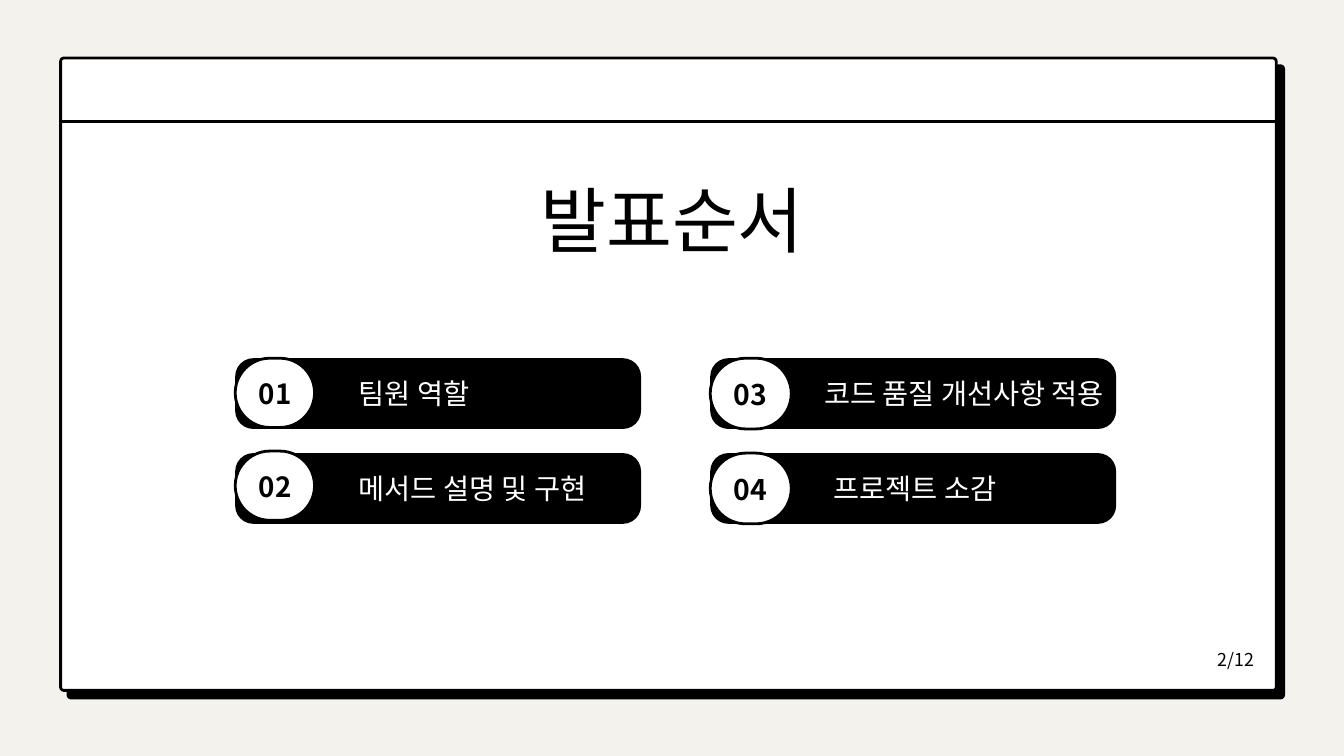
import pptx
import pptx.dml.color
import pptx.enum.shapes
import pptx.enum.text
import pptx.oxml.ns
import pptx.util
from lxml import etree

Pt = pptx.util.Pt
ALIGN = pptx.enum.text.PP_ALIGN
SHAPE = pptx.enum.shapes.MSO_SHAPE


def color(hex_value):
    return pptx.dml.color.RGBColor.from_string(hex_value)


class SlideBuilder:
    """Holds the style and the current slide; all lengths are in points."""

    FONT = "Noto Sans CJK KR"
    BLACK, WHITE, PAPER = "000000", "FFFFFF", "F4F2EC"
    LINE_WIDTH = 3

    def __init__(self, slide):
        self.slide = slide
        slide.background.fill.solid()
        slide.background.fill.fore_color.rgb = color(self.PAPER)

    def rounded(self, left, top, width, height, radius, fill, outlined=True):
        shape = self.slide.shapes.add_shape(
            SHAPE.ROUNDED_RECTANGLE, Pt(left), Pt(top), Pt(width), Pt(height))
        shape.adjustments[0] = radius / min(width, height)
        shape.shadow.inherit = False
        shape.fill.solid()
        shape.fill.fore_color.rgb = color(fill)
        if outlined:
            shape.line.color.rgb = color(self.BLACK)
            shape.line.width = Pt(self.LINE_WIDTH)
        else:
            shape.line.fill.background()

    def line(self, x1, y1, x2, y2):
        connector = self.slide.shapes.add_connector(
            pptx.enum.shapes.MSO_CONNECTOR.STRAIGHT, Pt(x1), Pt(y1), Pt(x2), Pt(y2))
        connector.line.color.rgb = color(self.BLACK)
        connector.line.width = Pt(self.LINE_WIDTH)
        properties = connector.element.find(pptx.oxml.ns.qn("p:spPr"))
        etree.SubElement(properties, pptx.oxml.ns.qn("a:effectLst"))

    def text(self, text, left, top, width, height, size, spacing,
             fill=BLACK, align=ALIGN.LEFT, bold=False):
        shape = self.slide.shapes.add_textbox(
            Pt(left), Pt(top), Pt(width), Pt(height))
        self.set_text(shape, text, size, spacing, fill, align, bold)

    def title(self, text, left, top, width, height, size, spacing):
        shape = self.slide.shapes.title
        position = {"left": left, "top": top, "width": width, "height": height}
        for name, value in position.items():
            setattr(shape, name, Pt(value))
        # Bring the title in front of the window
        shape.element.getparent().append(shape.element)
        self.set_text(shape, text, size, spacing, self.BLACK, ALIGN.CENTER, False)

    def set_text(self, shape, text, size, spacing, fill, align, bold):
        frame = shape.text_frame
        frame_format = {
            "margin_left": 0, "margin_top": 0, "margin_right": 0, "margin_bottom": 0,
            "word_wrap": True,
            "auto_size": pptx.enum.text.MSO_AUTO_SIZE.NONE,
            "vertical_anchor": pptx.enum.text.MSO_ANCHOR.TOP,
        }
        for name, value in frame_format.items():
            setattr(frame, name, value)
        paragraph = frame.paragraphs[0]
        paragraph.alignment = align
        paragraph.line_spacing = Pt(spacing)
        run = paragraph.add_run()
        run.text = text
        run.font.color.rgb = color(fill)
        font_format = {"name": self.FONT, "size": Pt(size), "bold": bold}
        for name, value in font_format.items():
            setattr(run.font, name, value)
        # Korean glyphs take the East Asian typeface
        for properties in shape.element.iter(pptx.oxml.ns.qn("a:rPr")):
            etree.SubElement(properties, pptx.oxml.ns.qn("a:ea"), typeface=self.FONT)


def main():
    presentation = pptx.Presentation()
    presentation.slide_width, presentation.slide_height = Pt(1440), Pt(810)
    slide = presentation.slides.add_slide(presentation.slide_layouts[5])
    builder = SlideBuilder(slide)

    # Window with a solid offset shadow and a title bar
    for left, top, fill in ((72.9, 70.4, builder.BLACK), (65, 62.2, builder.WHITE)):
        builder.rounded(left, top, 1302.4, 677.5, 3.4, fill)
    builder.line(65, 130.3, 1367.4, 130.3)
    builder.title("발표순서", 438.5, 173.5, 563, 103.7, 76.7, 107.4)

    # Agenda: number, label, card left and top, label left, badge top and size, number size
    agenda = [
        ("01", "팀원 역할", 252, 383.8, 384.5, 383.8, (85, 74.2), 29.7),
        ("02", "메서드 설명 및 구현", 252, 485.5, 384.5, 483.3, (85, 74.2), 29.7),
        ("03", "코드 품질 개선사항 적용", 761, 383.8, 883.3, 383.8, (86.8, 75.8), 30.4),
        ("04", "프로젝트 소감", 761, 485.5, 893.3, 485.5, (86.8, 75.8), 30.4),
    ]
    for number, label, left, top, label_left, badge_top, badge, size in agenda:
        builder.rounded(left, top, 434.9, 75.8, 19.5, builder.BLACK, outlined=False)
        builder.rounded(left, badge_top, *badge, badge[1] / 2, builder.WHITE)
        builder.text(label, label_left, top + 9.6, 309, 46, 30.4, 46.5, builder.WHITE)
        builder.text(number, left + 20.2, badge_top + 10, 45, 46, size,
                     size * 1.53, align=ALIGN.CENTER, bold=True)

    # Page number
    builder.text("2/12", 1068.5, 691.2, 275, 26, 19, 26.6, align=ALIGN.RIGHT)

    presentation.save("out.pptx")


if __name__ == "__main__":
    main()
